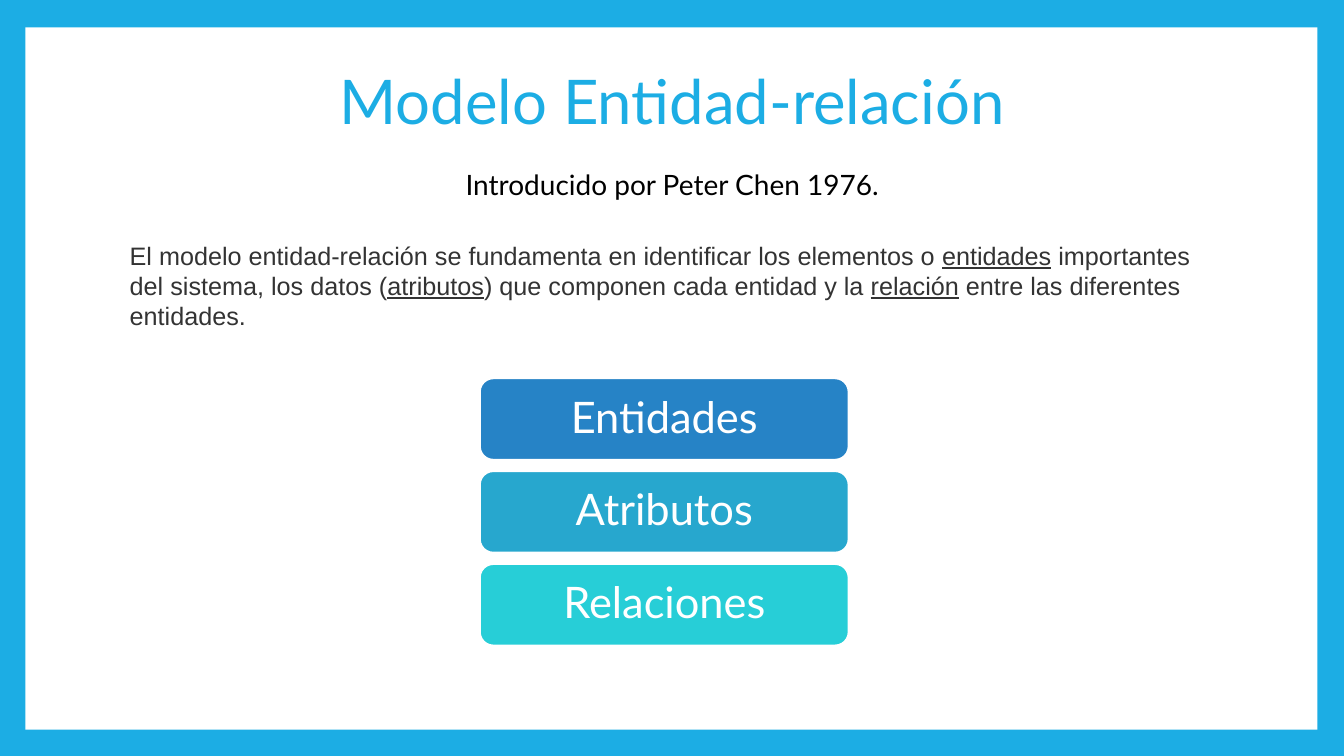
from pptx import Presentation, util as u
from pptx.dml.color import RGBColor
from pptx.enum import shapes, text


def rgb(value):
    return RGBColor.from_string(value)


class Deck:
    accent = "1CADE4"
    white = "FFFFFF"
    heading = "Lato"
    body = "Arial"

    def __init__(self, width, height):
        self.prs = Presentation()
        self.prs.slide_width = u.Cm(width)
        self.prs.slide_height = u.Cm(height)
        self.s = self.prs.slides.add_slide(self.prs.slide_layouts[6])
        self.s.background.fill.solid()
        self.s.background.fill.fore_color.rgb = rgb(self.accent)

    def add_text(self, sp, runs, font, size, color, anchor="TOP", **layout):
        tf = sp.text_frame
        tf.word_wrap = True
        tf.vertical_anchor = text.MSO_ANCHOR[anchor]
        p = tf.paragraphs[0]
        for name, value in layout.items():
            setattr(p, name, value)
        for words, underline in runs:
            r = p.add_run()
            r.text = words
            r.font.color.rgb = rgb(color)
            look = {"name": font, "size": u.Pt(size), "underline": underline}
            for name, value in look.items():
                setattr(r.font, name, value)

    def text_box(self, box, runs, font, size, color, **layout):
        sp = self.s.shapes.add_textbox(*map(u.Cm, box))
        self.add_text(sp, runs, font, size, color, **layout)

    def block(self, kind, box, fill):
        sp = self.s.shapes.add_shape(kind, *map(u.Cm, box))
        sp.shadow.inherit = False
        sp.fill.solid()
        sp.fill.fore_color.rgb = rgb(fill)
        sp.line.fill.background()
        return sp

    def button(self, box, label, fill):
        sp = self.block(shapes.MSO_SHAPE.ROUNDED_RECTANGLE, box, fill)
        sp.line.color.rgb = rgb(self.white)
        sp.line.width = u.Pt(1.5)
        self.add_text(sp, [(label, False)], self.heading, 31, self.white,
                      anchor="MIDDLE", alignment=text.PP_ALIGN.CENTER, line_spacing=0.9)


def main():
    deck = Deck(33.87, 19.05)
    center = text.PP_ALIGN.CENTER
    deck.block(shapes.MSO_SHAPE.RECTANGLE, (0.64, 0.69, 32.56, 17.7), deck.white)
    deck.text_box((3.23, 0.76, 27.43, 3.76), [("Modelo Entidad-relación", False)],
                  deck.heading, 44, deck.accent,
                  anchor="MIDDLE", alignment=center, line_spacing=0.9)
    deck.text_box((3.43, 4.09, 27.03, 1.12), [("Introducido por Peter Chen 1976.", False)],
                  deck.heading, 20, "000000", alignment=center, space_after=u.Pt(24))
    definition = [
        ("El modelo entidad-relación se fundamenta en identificar los elementos o ", False),
        ("entidades", True),
        (" importantes del sistema, los datos (", False),
        ("atributos", True),
        (") que componen cada entidad y la ", False),
        ("relación", True),
        (" entre las diferentes entidades.", False),
    ]
    deck.text_box((3.02, 5.92, 27.43, 2.57), definition, deck.body, 18, "333333")
    concepts = {"Entidades": "2683C6", "Atributos": "27A7CE", "Relaciones": "27CED7"}
    for i, (label, fill) in enumerate(concepts.items()):
        deck.button((12.09, 9.53 + 2.34 * i, 9.3, 2.06), label, fill)
    deck.prs.save("out.pptx")


if __name__ == "__main__":
    main()
